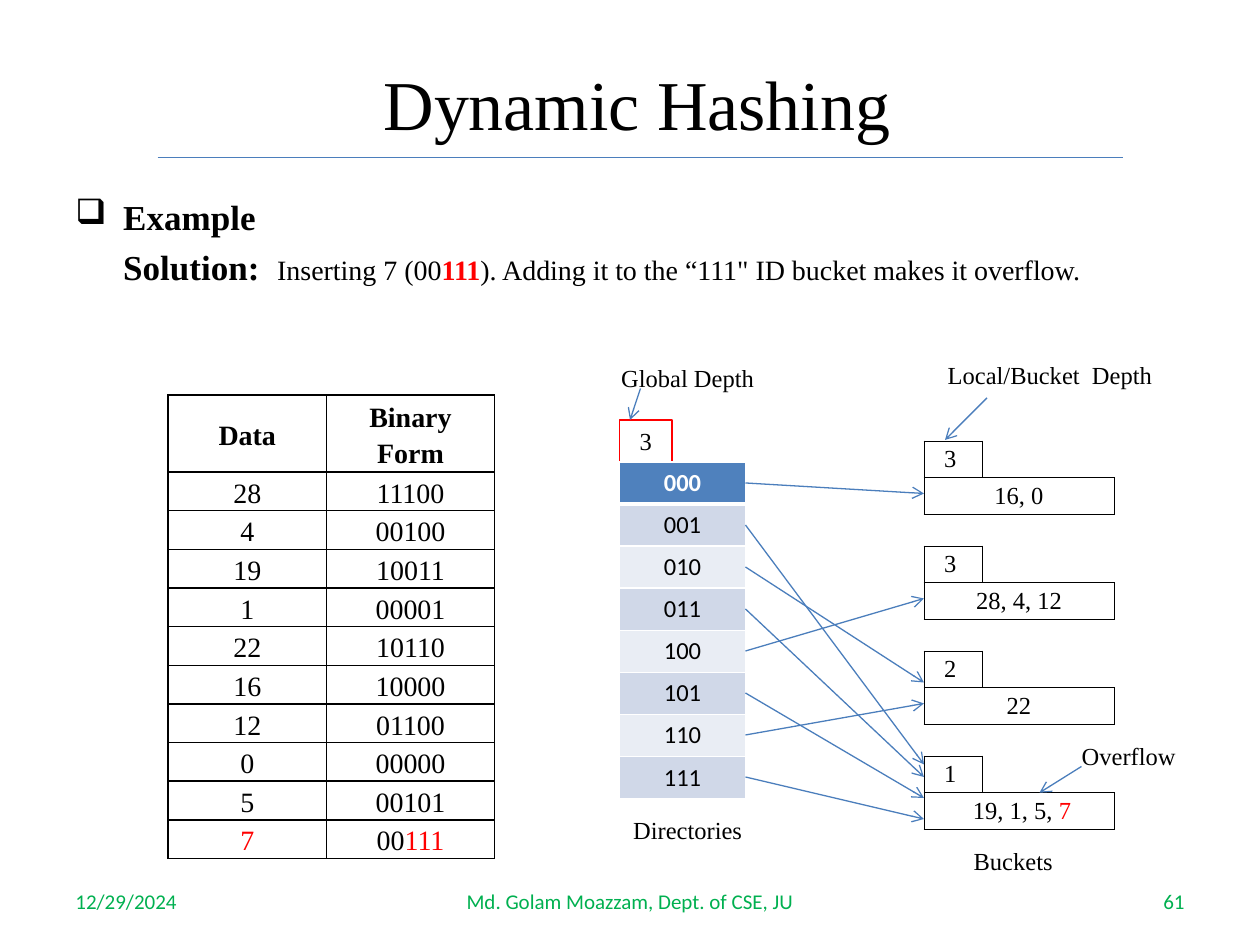
from lxml import etree
from pptx import Presentation, util as u
from pptx.dml.color import RGBColor
from pptx.enum import shapes, text
from pptx.oxml.ns import qn

SERIF, SANS = "Times New Roman", "Calibri"
BLACK, RED, GREEN, BLUE, WHITE = "000000", "FF0000", "00B050", "4B7EBC", "FFFFFF"
LEFT, CENTER, RIGHT = text.PP_ALIGN.LEFT, text.PP_ALIGN.CENTER, text.PP_ALIGN.RIGHT
MIDDLE, TOP = text.MSO_ANCHOR.MIDDLE, text.MSO_ANCHOR.TOP


def g(n):
    """Length of n grid units; the slide is 120 columns by 90 rows."""
    return u.Inches(n / 12)


def rgb(color):
    return RGBColor.from_string(color)


def sub(parent, tag, **attrs):
    return etree.SubElement(parent, qn(tag), attrs)


def add_runs(p, runs, size, font=SERIF, align=CENTER):
    """Each run is (text, colour, bold) or (text, colour, bold, size)."""
    p.alignment = align
    for words, color, bold, *own_size in runs:
        r = p.add_run()
        r.text = words
        r.font.name, r.font.bold = font, bold
        r.font.size = u.Pt(own_size[0] if own_size else size)
        r.font.color.rgb = rgb(color)


def add_label(s, box, words, size=14, color=BLACK, font=SERIF, align=CENTER, anchor=TOP):
    tf = s.shapes.add_textbox(*map(g, box)).text_frame
    tf.word_wrap, tf.vertical_anchor = True, anchor
    add_runs(tf.paragraphs[0], [(words, color, False)], size, font, align)


def add_line(s, start, end, arrow=True):
    ln = s.shapes.add_connector(shapes.MSO_CONNECTOR.STRAIGHT, *map(g, (*start, *end)))
    ln.line.color.rgb, ln.line.width = rgb(BLUE), u.Pt(0.75)
    if arrow:
        sub(ln.line._get_or_add_ln(), "a:tailEnd", type="arrow")
    sub(ln._element.spPr, "a:effectLst")


def add_table(s, x, y, cols, rows):
    shape = s.shapes.add_table(len(rows), len(cols), g(x), g(y), g(sum(cols)), g(sum(rows)))
    table = shape.table
    table.first_row = table.horz_banding = False
    for col, width in zip(table.columns, cols):
        col.width = g(width)
    for row, height in zip(table.rows, rows):
        row.height = g(height)
    return table


def style_cell(cell, edges, color, fill=None):
    """edges maps L, R, T, B to a width in points; a missing side has no line."""
    tcPr = cell._tc.get_or_add_tcPr()
    for side in "LRTB":
        ln = sub(tcPr, f"a:ln{side}", w=str(u.Pt(edges.get(side, 0))))
        if side in edges:
            sub(sub(ln, "a:solidFill"), "a:srgbClr", val=color)
        else:
            sub(ln, "a:noFill")
    if fill:
        cell.fill.solid()
        cell.fill.fore_color.rgb = rgb(fill)
    else:
        cell.fill.background()


def set_insets(cell, side):
    cell.margin_left = cell.margin_right = u.Inches(side)
    cell.margin_top = cell.margin_bottom = 0
    cell.vertical_anchor = MIDDLE


def add_heading(s, x, y, width, height):
    add_label(s, (x + 1, y, width - 1, height), "Dynamic Hashing ", 40, anchor=MIDDLE)
    add_line(s, (x, y + height), (x + width, y + height), arrow=False)


def add_body(s, box):
    tf = s.shapes.add_textbox(*map(g, box)).text_frame
    tf.word_wrap = True
    example, solution = tf.paragraphs[0], tf.add_paragraph()
    indent = str(u.Inches(0.38))
    pPr = example._p.get_or_add_pPr()
    pPr.set("marL", indent)
    pPr.set("indent", "-" + indent)
    sub(pPr, "a:buChar", char="❑")
    solution._p.get_or_add_pPr().set("marL", indent)
    solution.space_before = u.Pt(5)
    add_runs(example, [("Example", BLACK, True)], 20, align=LEFT)
    add_runs(solution, [
        ("Solution:  ", BLACK, True, 20),
        ("Inserting 7 (00", BLACK, False),
        ("111", RED, True),
        ("). Adding it to the “111\" ID bucket makes it overflow.", BLACK, False),
    ], 16, align=LEFT)


def add_data_table(s, x, y):
    numbers = (28, 4, 19, 1, 22, 16, 12, 0, 5)
    rows = [[[("Data", BLACK, True)], [("Binary Form", BLACK, True)]]]
    rows += [[[(str(n), BLACK, False)], [(f"{n:05b}", BLACK, False)]] for n in numbers]
    rows.append([[("7", RED, False)], [("00", BLACK, False), ("111", RED, False)]])
    table = add_table(s, x, y, [15.1, 16], [6.4] + [3.25] * (len(rows) - 1))
    for i, row in enumerate(rows):
        for j, runs in enumerate(row):
            cell = table.cell(i, j)
            set_insets(cell, 0.07)
            style_cell(cell, dict.fromkeys("LRTB", 1), BLACK)
            p = cell.text_frame.paragraphs[0]
            p.line_spacing = 1.15
            add_runs(p, runs, 16)


def add_directory(s, x, y):
    """Global depth box on top of the list of bucket IDs."""
    depth = s.shapes.add_shape(shapes.MSO_SHAPE.RECTANGLE, g(x), g(y - 4), g(5), g(4))
    depth.shadow.inherit = False
    depth.fill.background()
    depth.line.color.rgb, depth.line.width = rgb(RED), u.Pt(0.75)
    depth.text_frame.vertical_anchor = MIDDLE
    add_runs(depth.text_frame.paragraphs[0], [("3", BLACK, False)], 14)
    table = add_table(s, x, y, [12], [4] * 8)
    for i in range(8):
        cell = table.cell(i, 0)
        fill = "4F81BD" if i == 0 else ("E9EDF4", "D0D8E8")[i % 2]
        edges = {"L": 1, "R": 1, "T": 3 if i == 1 else 1, "B": 3 if i == 0 else 1}
        style_cell(cell, edges, WHITE, fill)
        add_runs(cell.text_frame.paragraphs[0],
                 [(f"{i:03b}", WHITE if i == 0 else BLACK, i == 0)], 14, SANS)
    add_label(s, (x - 2, y - 10, 17, 4), "Global Depth")
    add_line(s, (x + 2, y - 7), (x + 1, y - 4))
    add_label(s, (x - 2, y + 33, 17, 4), "Directories")


def add_bucket(s, x, y, depth, runs):
    table = add_table(s, x, y, [5.6, 6.25, 6.25], [3.5, 3.5])
    table.cell(1, 0).merge(table.cell(1, 2))
    sides = [["LRTB", "LB", "B"], ["LRTB", "TB", "RTB"]]
    for i, row in enumerate(sides):
        for j, edges in enumerate(row):
            cell = table.cell(i, j)
            set_insets(cell, 0)
            style_cell(cell, dict.fromkeys(edges, 0.5), BLACK)
            p = cell.text_frame.paragraphs[0]
            if j == 0:
                add_runs(p, runs if i else [(depth + " ", BLACK, False)], 14)
            else:
                sub(p._p, "a:endParaRPr", sz="1400")


def add_buckets(s, x, y):
    buckets = [
        ("3", [("16, 0", BLACK, False)]),
        ("3", [("28, 4, 12", BLACK, False)]),
        ("2", [("22", BLACK, False)]),
        ("1", [(" 19, 1, 5, ", BLACK, False), ("7", RED, False)]),
    ]
    for i, (depth, runs) in enumerate(buckets):
        add_bucket(s, x, y + 10 * i, depth, runs)
    add_label(s, (x + 1, y - 8.3, 22, 4), "Local/Bucket  Depth")
    add_line(s, (x + 6, y - 4.1), (x + 2, y - 0.1))
    add_label(s, (x + 12, y + 28, 15, 4), "Overflow")
    add_line(s, (x + 15, y + 31), (x + 11, y + 33.5))
    add_label(s, (x, y + 38, 17, 4), "Buckets")


def add_footer(s, y):
    style = dict(size=12, color=GREEN, font=SANS, anchor=MIDDLE)
    add_label(s, (6, y, 28, 4.8), "12/29/2024", align=LEFT, **style)
    add_label(s, (41, y, 38, 4.8), "Md. Golam Moazzam, Dept. of CSE, JU", **style)
    add_label(s, (86, y, 28, 4.8), "61", align=RIGHT, **style)


def main():
    prs = Presentation()
    prs.slide_width, prs.slide_height = g(120), g(90)
    s = prs.slides.add_slide(prs.slide_layouts[6])
    add_heading(s, 15, 4.6, 92, 10.4)
    add_body(s, (6, 18, 108, 12))
    add_data_table(s, 16, 37.6)
    directory_x, directory_y, bucket_x = 59, 44, 88
    add_directory(s, directory_x, directory_y)
    add_buckets(s, bucket_x, 42)
    for i, target_y in enumerate((47, 72.8, 65, 74, 57, 76, 67, 78)):
        add_line(s, (directory_x + 12, directory_y + 2 + 4 * i), (bucket_x, target_y))
    add_footer(s, 83.4)
    prs.save("out.pptx")


if __name__ == "__main__":
    main()
